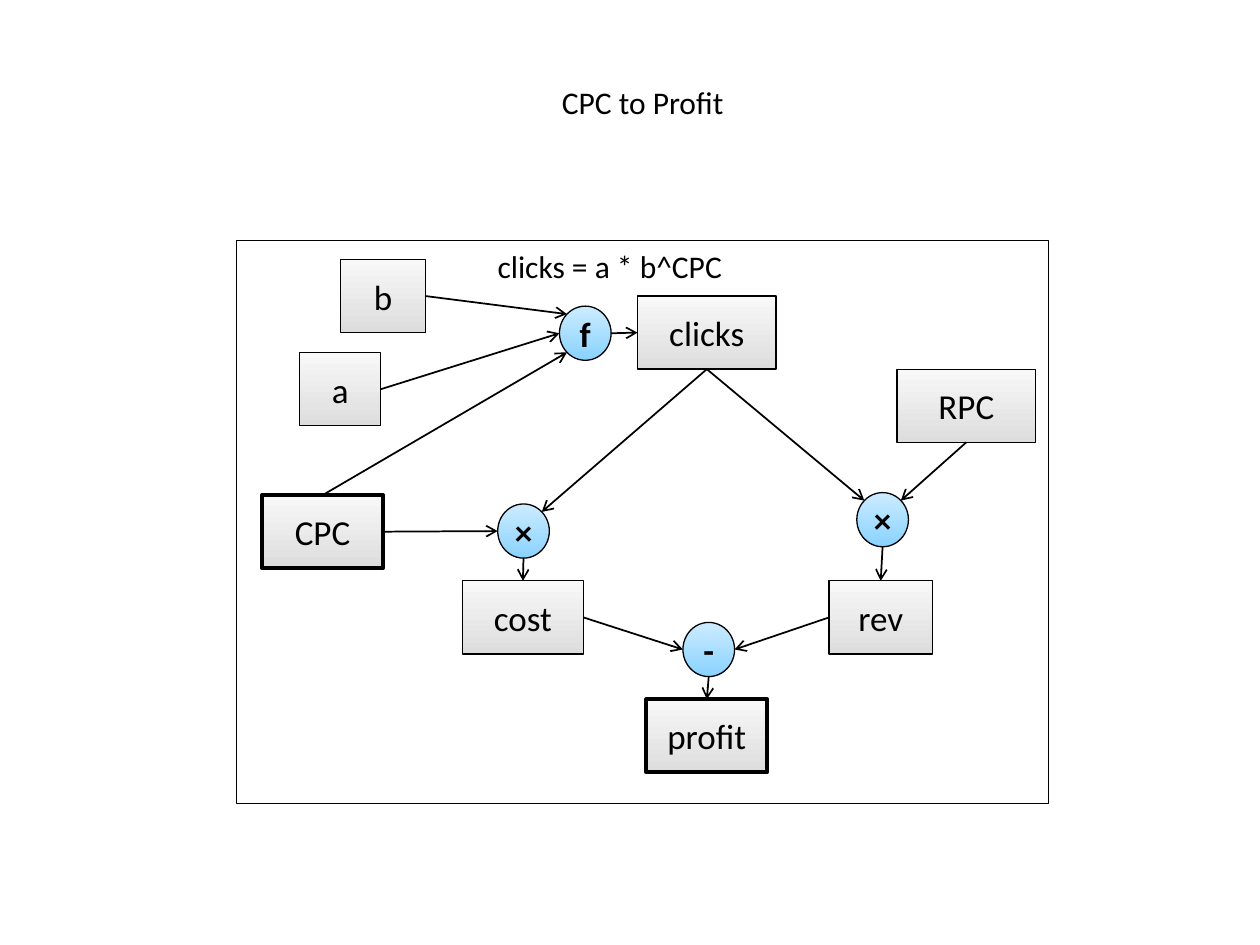
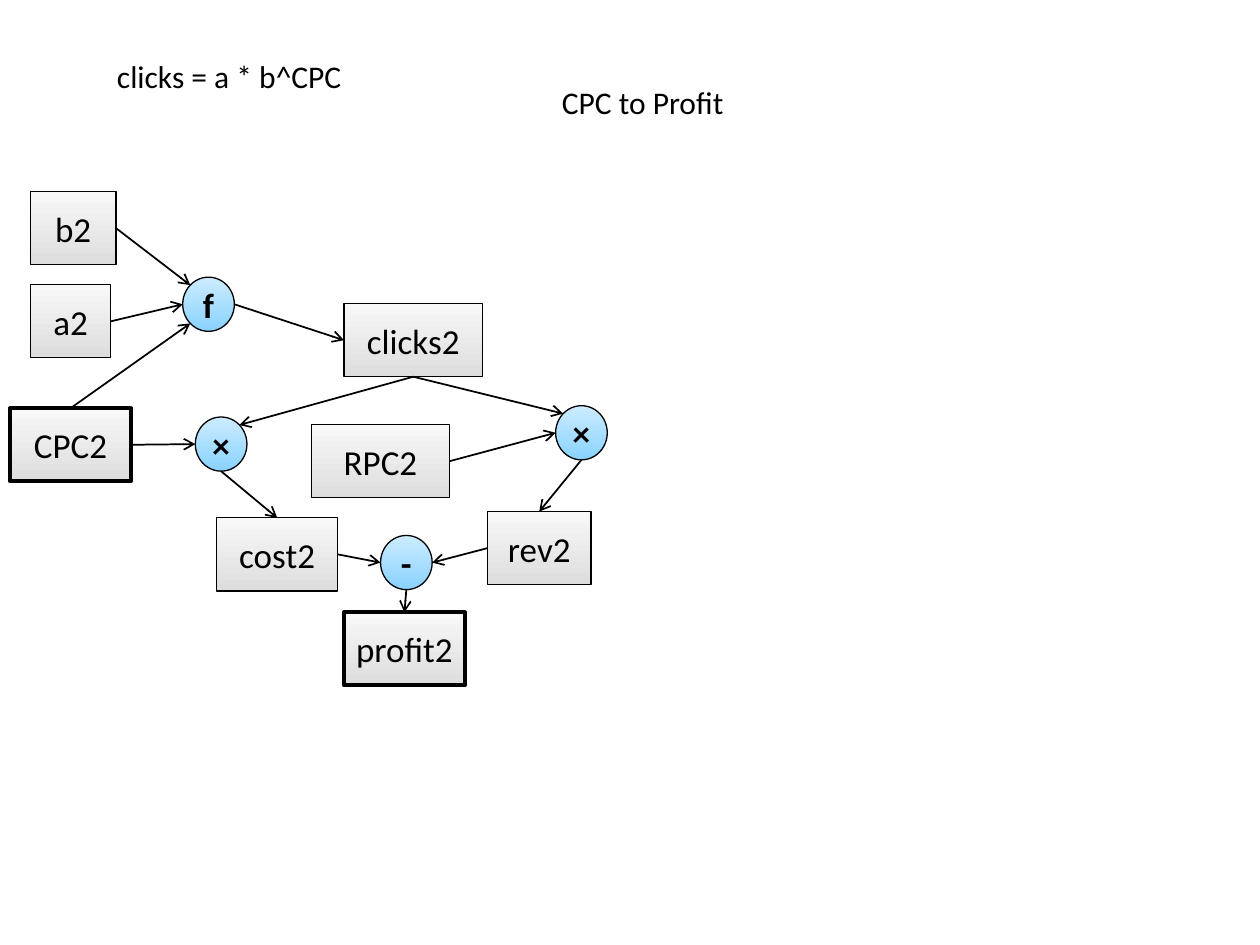
import math
from pptx import Presentation
from pptx.dml.color import RGBColor
from pptx.enum import shapes as es, text as et
from pptx.oxml import parse_xml
from pptx.oxml.ns import nsdecls
from pptx.util import Inches, Pt

HEX = {"ink": "000000", "paper": "FFFFFF",
       "box": ("F8F8F8", "DDDDDD"), "op": ("CCECFF", "89D2FF")}
FONT = "Calibri"
TITLE = (4.36, 0.61, 1.51, 0.4)
FORMULA = "clicks = a * b^CPC"

# key: (label, width); the bold-edged ones are the input and the result
BOXES = {"CPC": 0.96, "profit": 0.96, "rev": 0.82, "cost": 0.96,
         "clicks": 1.1, "RPC": 1.1, "a": 0.64, "b": 0.68}
KEY = ("CPC", "profit")
BOX_H = 0.58
OPS = {"minus": "-", "func": "f", "mulcost": "×", "mulrev": "×"}
OP_W, OP_H = 0.41, 0.43

# Directions from a node's centre: (x, y)
SIDES = {"top": (0, -1), "bottom": (0, 1), "left": (-1, 0), "right": (1, 0),
         "topleft": (-1, -1), "topright": (1, -1), "lowleft": (-1, 1)}
LINKS = [
    ("b", "right", "func", "topleft"),
    ("a", "right", "func", "left"),
    ("CPC", "top", "func", "lowleft"),
    ("func", "right", "clicks", "left"),
    ("CPC", "right", "mulcost", "left"),
    ("clicks", "bottom", "mulcost", "topright"),
    ("clicks", "bottom", "mulrev", "topleft"),
    ("mulcost", "bottom", "cost", "top"),
    ("mulrev", "bottom", "rev", "top"),
    ("cost", "right", "minus", "left"),
    ("rev", "left", "minus", "right"),
    ("minus", "bottom", "profit", "top"),
]

# Node places, relative to the diagram's corner
WIDE = {"CPC": (0.2, 2.02), "profit": (3.25, 3.64), "rev": (4.7, 2.7),
        "cost": (1.79, 2.7), "minus": (3.54, 3.03), "func": (2.56, 0.52),
        "clicks": (3.18, 0.44), "mulcost": (2.07, 2.09),
        "mulrev": (4.92, 2), "RPC": (5.24, 1.02), "a": (0.5, 0.89),
        "b": (0.82, 0.15)}
TIGHT = {"CPC": (0, 1.72), "profit": (2.65, 3.34), "rev": (3.79, 2.54),
         "cost": (1.64, 2.59), "minus": (2.94, 2.73), "func": (1.37, 0.68),
         "clicks": (2.65, 0.89), "mulcost": (1.47, 1.79),
         "mulrev": (4.33, 1.7), "RPC": (2.39, 1.85), "a": (0.16, 0.74),
         "b": (0.16, 0)}


def rgb(name):
    return RGBColor.from_string(HEX.get(name, name))


def write(shape, words, size=18, bold=False, align="LEFT", anchor="TOP",
          grow=False):
    frame = shape.text_frame
    frame.word_wrap = False
    frame.vertical_anchor = getattr(et.MSO_ANCHOR, anchor)
    fit = et.MSO_AUTO_SIZE
    frame.auto_size = fit.SHAPE_TO_FIT_TEXT if grow else fit.NONE
    para = frame.paragraphs[0]
    para.alignment = getattr(et.PP_ALIGN, align)
    run = para.add_run()
    run.text = words
    run.font.name, run.font.size, run.font.bold = FONT, Pt(size), bold
    run.font.color.rgb = rgb("ink")


def outline(shape, width):
    shape.shadow.inherit = False
    shape.line.color.rgb = rgb("ink")
    shape.line.width = Pt(width)


def title(slide, words):
    head = slide.shapes.title
    head.left, head.top, head.width, head.height = map(Inches, TITLE)
    write(head, words, grow=True)


def label(shapes, words, x, y):
    write(shapes.add_textbox(*map(Inches, (x, y, 2.01, 0.4))), words,
          grow=True)


def panel(shapes, x, y, w, h):
    back = shapes.add_shape(es.MSO_SHAPE.RECTANGLE,
                            *map(Inches, (x, y, w, h)))
    back.fill.solid()
    back.fill.fore_color.rgb = rgb("paper")
    outline(back, 0.75)


def node(shapes, kind, words, area, width=0.75):
    form = es.MSO_SHAPE.OVAL if kind == "op" else es.MSO_SHAPE.RECTANGLE
    shape = shapes.add_shape(form, *map(Inches, area))
    shape.fill.gradient()
    shape.fill.gradient_angle = 270
    for stop, tone in zip(shape.fill.gradient_stops, HEX[kind]):
        stop.color.rgb = rgb(tone)
    outline(shape, width)
    write(shape, words, size=20, bold=kind == "op", align="CENTER",
          anchor="MIDDLE")


def site(area, side):
    """Point on the edge of a node; corner sites lie on the ellipse."""
    x, y, w, h = area
    dx, dy = SIDES[side]
    reach = 2 * math.hypot(dx, dy)
    return x + w / 2 + dx * w / reach, y + h / 2 + dy * h / reach


def arrow(shapes, start, end):
    line = shapes.add_connector(es.MSO_CONNECTOR.STRAIGHT,
                                *map(Inches, start + end))
    line.line.color.rgb = rgb("ink")
    line.line.width = Pt(1)
    props = line.line._get_or_add_ln()
    props.append(parse_xml(f'<a:tailEnd {nsdecls("a")} type="arrow"/>'))
    props.addnext(parse_xml(f'<a:effectLst {nsdecls("a")}/>'))


def diagram(shapes, x, y, spots, links, suffix=""):
    areas = {}
    for key, (dx, dy) in spots.items():
        size = (BOXES[key], BOX_H) if key in BOXES else (OP_W, OP_H)
        areas[key] = (x + dx, y + dy) + size
        if key in OPS:
            node(shapes, "op", OPS[key], areas[key])
        else:
            node(shapes, "box", key + suffix, areas[key],
                 width=2.25 if key in KEY else 0.75)
    for tail, out, head, into in links:
        arrow(shapes, site(areas[tail], out), site(areas[head], into))


def framed(slide, x, y, w, h):
    title(slide, "CPC to Profit")
    shapes = slide.shapes.add_group_shape().shapes
    panel(shapes, x, y, w, h)
    diagram(shapes, x, y, WIDE,
            LINKS + [("RPC", "bottom", "mulrev", "topright")])
    label(shapes, FORMULA, x + 1.97, y)


def compact(slide, x, y):
    title(slide, "CPC to Profit")
    diagram(slide.shapes, x, y, TIGHT,
            LINKS + [("RPC", "right", "mulrev", "left")], suffix="2")
    label(slide.shapes, FORMULA, x + 0.75, y - 1.12)


def main():
    deck = Presentation()
    deck.slide_width, deck.slide_height = Inches(10), Inches(7.5)
    plain = deck.slide_layouts.get_by_name("Title Only")
    framed(deck.slides.add_slide(plain), 1.88, 1.91, 6.44, 4.47)
    compact(deck.slides.add_slide(plain), 0.08, 1.52)
    deck.save("out.pptx")


if __name__ == "__main__":
    main()
